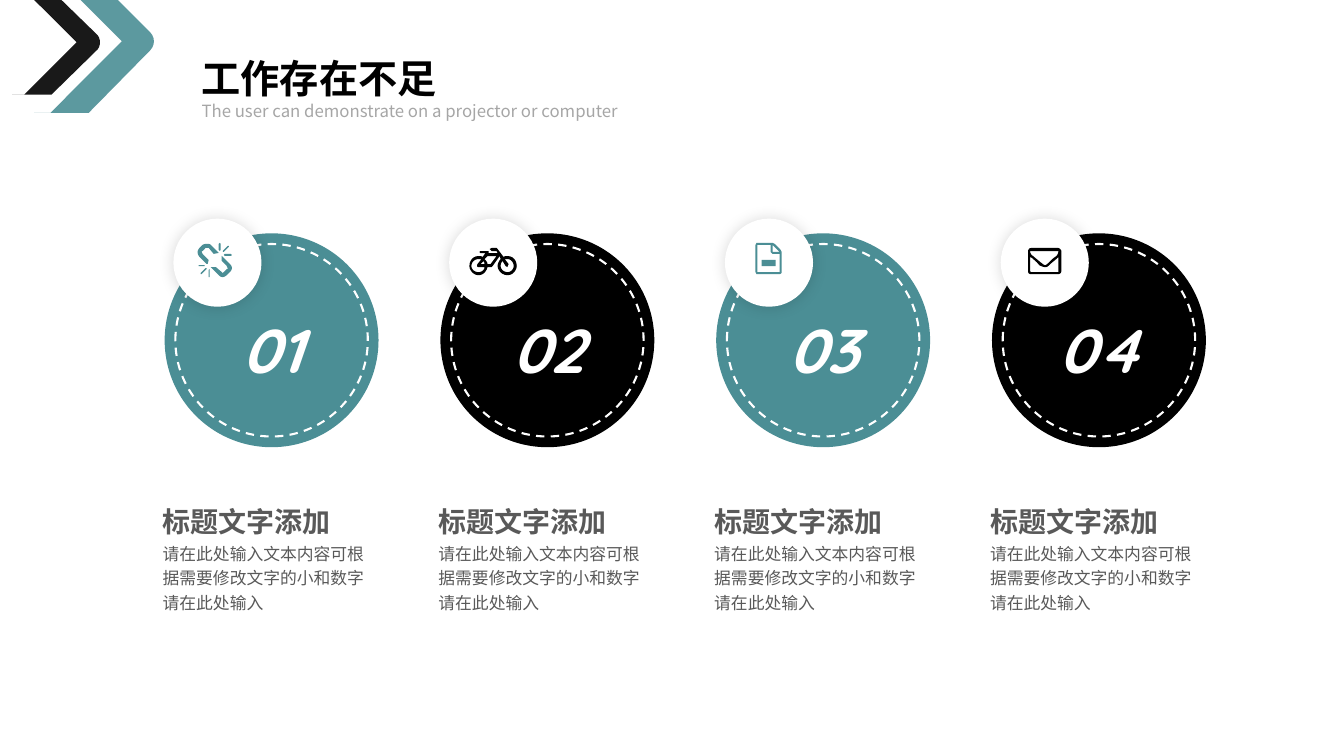
from lxml.etree import SubElement
from pptx import Presentation
from pptx.dml.color import RGBColor
from pptx.enum.dml import MSO_LINE
from pptx.enum.shapes import MSO_SHAPE
from pptx.enum.text import MSO_ANCHOR, MSO_AUTO_SIZE, PP_ALIGN
from pptx.oxml.ns import qn
from pptx.util import Cm, Pt

COLORS = {
    "teal": "4B8E95",
    "black": "000000",
    "white": "FFFFFF",
    "text": "595959",
    "subtitle": "A6A6A6",
}
CJK_FONT = "Noto Sans CJK JP"
NUMBER_FONT = "Quicksand"
GRID = Cm(2.54) / 100
CURVE_STEPS = 6

BROKEN_LINK = (
    "M7 23 L1 23 L1 22 L7 22"
    "M16 11 L11 5 C11 5 10 5 9 5 L8 5 L5 8 L4 9 L5 11 L11 17 L10 21 L9 21 L2 14 "
    "C1 13 0 11 0 9 C0 8 1 6 2 5 L5 2 C7 1 8 1 9 1 C11 1 12 1 13 2 L20 9 L21 10"
    "M4 31 L3 31 L3 30 L8 25 L9 25 L9 26"
    "M12 34 L11 34 L11 27 L12 26"
    "M32 29 L29 32 C28 33 26 34 25 34 C23 34 22 33 21 32 L14 25 L13 24 L18 24 L24 29 "
    "C24 30 25 30 26 29 L29 26 C29 26 30 26 30 25 C30 25 29 24 29 23 L24 18 L24 13 "
    "L25 14 L32 21 C33 22 34 23 34 25 C34 27 33 28 32 29"
    "M23 7 L22 8 L21 7 L21 1 L22 0 L23 1"
    "M26 9 L25 9 L25 8 L30 3 L31 3 L31 4"
    "M33 13 L27 13 L26 12 L27 11 L33 11 L34 12"
)
BICYCLE = (
    "M38 27 C32 27 28 22 28 18 C28 15 30 12 31 11 L30 8 L23 18 L22 19 L18 19 "
    "C17 23 14 27 9 27 C4 27 0 22 0 18 C0 12 4 8 9 8 C11 8 12 8 13 9 L16 5 L11 5 "
    "L10 4 L11 3 L19 3 L19 5 L28 5 L27 3 L22 3 L20 1 L22 0 L27 0 L28 1 L34 9 "
    "C35 8 36 8 38 8 C43 8 47 12 47 18 C47 22 43 27 38 27"
    "M9 19 C8 19 7 18 8 16 L12 11 C11 11 10 11 9 11 C5 11 2 14 2 18 "
    "C2 21 5 24 9 24 C12 24 15 22 15 19"
    "M15 16 C15 15 15 14 14 13 L11 16"
    "M27 8 L18 8 L15 11 C16 12 18 14 18 16 L21 16"
    "M38 11 L35 11 L39 16 L38 18 L38 19 L36 18 L33 13 C32 14 31 15 31 18 "
    "C31 21 34 24 38 24 C41 24 44 21 44 18 C44 14 41 11 38 11"
)
DOCUMENT = (
    "M26 9 L26 29 C26 30 25 31 24 31 L1 31 L0 29 L0 2 L1 0 L17 0 L19 1 L25 7"
    "M24 11 L17 11 L15 9 L15 2 L2 2 L2 29 L24 29"
    "M17 9 L24 9 L23 8 L18 3 L17 2"
    "M6 17 L20 17 L20 23 L6 23"
)
ENVELOPE = (
    "M33 23 C33 25 31 26 30 26 L3 26 C1 26 0 25 0 23 L0 3 C0 2 1 0 3 0 L30 0 C31 0 33 2 33 3"
    "M30 3 L3 3 L2 3 C2 5 3 7 5 8 C7 10 10 12 12 14 C14 15 15 17 17 17 "
    "C18 17 20 15 21 14 C23 12 25 10 28 8 C29 7 30 5 30 4"
    "M30 9 L29 10 C27 12 24 14 21 17 C20 18 19 19 17 19 C15 19 13 18 11 17 "
    "C9 14 6 12 4 10 L2 9 L2 23 L3 24 L30 24 L30 23"
)
CHEVRONS = [
    ("teal", "M34 112 L88 112 L149 50 C154 45 154 37 149 32 L117 0 L80 0 L121 41 L50 112"),
    ("black", "M47 94 L51 94 L97 49 C100 45 100 39 97 35 L61 0 L34 0 L76 42 L24 94 L12 94"),
]
HEADING = "标题文字添加"
DETAIL = "请在此处输入文本内容可根据需要修改文字的小和数字请在此处输入"
CARDS = [
    ("01", "teal", BROKEN_LINK, Cm(0.61), Cm(0.61)),
    ("02", "black", BICYCLE, Cm(0.51), Cm(0.74)),
    ("03", "teal", DOCUMENT, Cm(0.77), Cm(0.61)),
    ("04", "black", ENVELOPE, Cm(0.69), Cm(0.74)),
]


def rgb(name):
    """Return the named colour."""
    return RGBColor.from_string(COLORS[name])


def trace(contour):
    """Turn one contour of lines and cubic curves into points in EMU."""
    points = []
    for segment in contour.replace("L", "|L").replace("C", "|C").split("|"):
        numbers = [float(number) * GRID for number in segment.strip("LC ").split()]
        corners = list(zip(numbers[::2], numbers[1::2]))
        if segment.startswith("C"):
            controls = [points[-1]] + corners
            for step in range(1, CURVE_STEPS + 1):
                t = step / CURVE_STEPS
                weights = ((1 - t) ** 3, 3 * t * (1 - t) ** 2, 3 * t * t * (1 - t), t ** 3)
                points.append(tuple(
                    sum(w * control[axis] for w, control in zip(weights, controls))
                    for axis in (0, 1)))
        else:
            points += corners
    return points


def add_outline(slide, outline, left, top, color):
    """Draw a filled outline whose coordinates start at left, top."""
    contours = [trace(contour) for contour in outline.split("M")[1:]]
    builder = slide.shapes.build_freeform(*contours[0][0], scale=1.0)
    builder.add_line_segments(contours[0][1:], close=True)
    for contour in contours[1:]:
        builder.move_to(*contour[0])
        builder.add_line_segments(contour[1:], close=True)
    drawing = builder.convert_to_shape(left, top)
    drawing.shadow.inherit = False
    drawing.fill.solid()
    drawing.fill.fore_color.rgb = rgb(color)
    drawing.line.fill.background()
    return drawing


def add_circle(slide, left, top, size, fill=None):
    """Draw a circle without an outline, filled if a colour is named."""
    circle = slide.shapes.add_shape(MSO_SHAPE.OVAL, left, top, size, size)
    circle.shadow.inherit = False
    circle.line.fill.background()
    if fill:
        circle.fill.solid()
        circle.fill.fore_color.rgb = rgb(fill)
    else:
        circle.fill.background()
    return circle


def write(holder, text, size, color, font=CJK_FONT, bold=False, italic=False,
          align=PP_ALIGN.LEFT, spacing=1.0, wrap=True):
    """Put one formatted paragraph into a text holder."""
    frame = holder.text_frame
    frame.text = text
    frame.word_wrap = wrap
    frame.auto_size = MSO_AUTO_SIZE.SHAPE_TO_FIT_TEXT
    frame.vertical_anchor = MSO_ANCHOR.TOP
    paragraph = frame.paragraphs[0]
    paragraph.alignment = align
    paragraph.line_spacing = spacing
    style = paragraph.runs[0].font
    style.size, style.bold, style.italic, style.name = Pt(size), bold, italic, font
    style.color.rgb = rgb(color)
    SubElement(paragraph.runs[0]._r.get_or_add_rPr(), qn("a:ea"), typeface=font)


def add_chevrons(slide, left, top):
    """Draw the translucent corner arrows."""
    for color, outline in CHEVRONS:
        chevron = add_outline(slide, outline, left, top, color)
        tint = chevron._element.spPr.find(qn("a:solidFill"))[0]
        SubElement(tint, qn("a:alpha"), val="90000")


def add_header(slide, left, top):
    """Place the title and the line under it."""
    title = slide.shapes.title
    title.left, title.top, title.width, title.height = left, top, Cm(6.5), Cm(1.45)
    write(title, "工作存在不足", 28, "black", bold=True, wrap=False)
    subtitle = slide.shapes.add_textbox(left, top + Cm(1.17), Cm(14.07), Cm(0.76))
    write(subtitle, "The user can demonstrate on a projector or computer", 12, "subtitle")


def add_badge(slide, left, top, color, icon, icon_left, icon_top):
    """Draw the white shadowed disc and its icon."""
    badge = add_circle(slide, left, top, Cm(2.22), "white")
    effects = badge._element.spPr.find(qn("a:effectLst"))
    glow = SubElement(effects, qn("a:outerShdw"), blurRad=str(Pt(11)), dist="0",
                      algn="ctr", rotWithShape="0")
    shade = SubElement(glow, qn("a:srgbClr"), val=COLORS["black"])
    SubElement(shade, qn("a:alpha"), val="15000")
    add_outline(slide, icon, left + icon_left, top + icon_top, color)


def add_card(slide, left, top, number, color, icon, icon_left, icon_top):
    """Draw one numbered disc with its badge, heading and detail."""
    add_circle(slide, left, top, Cm(5.39), color)
    ring = add_circle(slide, left + Cm(0.27), top + Cm(0.27), Cm(4.85))
    ring.line.color.rgb = rgb("white")
    ring.line.width = Pt(1.5)
    ring.line.dash_style = MSO_LINE.DASH
    add_badge(slide, left + Cm(0.22), top - Cm(0.37), color, icon, icon_left, icon_top)
    label = slide.shapes.add_textbox(left + Cm(0.37), top + Cm(1.85), Cm(4.65), Cm(2.13))
    write(label, number, 44, "white", NUMBER_FONT, True, True, PP_ALIGN.CENTER)
    heading = slide.shapes.add_textbox(left - Cm(0.3), top + Cm(6.53), Cm(5.69), Cm(1.22))
    write(heading, HEADING, 20, "text", bold=True, align=PP_ALIGN.JUSTIFY, spacing=1.2)
    detail = slide.shapes.add_textbox(left - Cm(0.3), top + Cm(7.6), Cm(5.99), Cm(2.06))
    write(detail, DETAIL, 12, "text", spacing=1.2)


def main():
    """Build and save the slide."""
    deck = Presentation()
    deck.slide_width, deck.slide_height = Cm(33.87), Cm(19.05)
    slide = deck.slides.add_slide(deck.slide_layouts[5])
    add_chevrons(slide, Cm(0), Cm(0))
    add_header(slide, Cm(4.83), Cm(1.24))
    for index, card in enumerate(CARDS):
        add_card(slide, Cm(4.15) + index * Cm(6.95), Cm(5.88), *card)
    deck.save("out.pptx")


if __name__ == "__main__":
    main()
